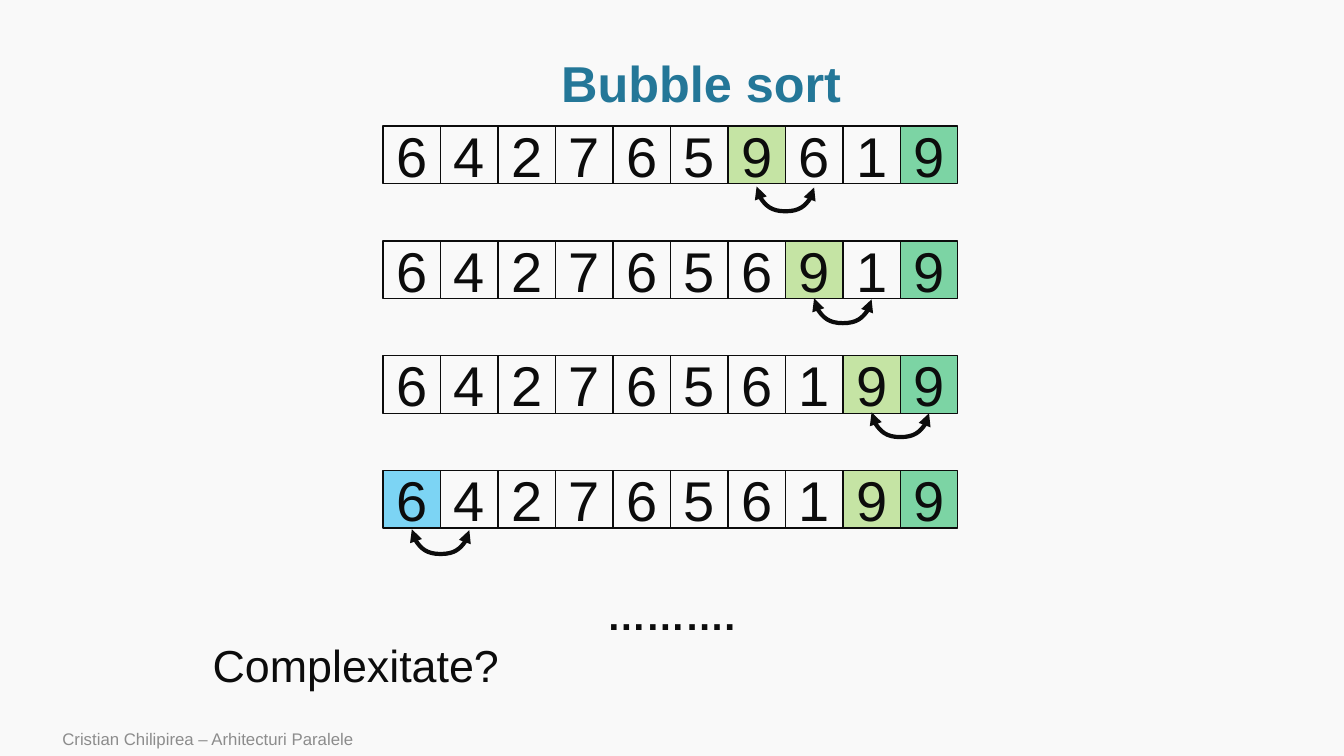
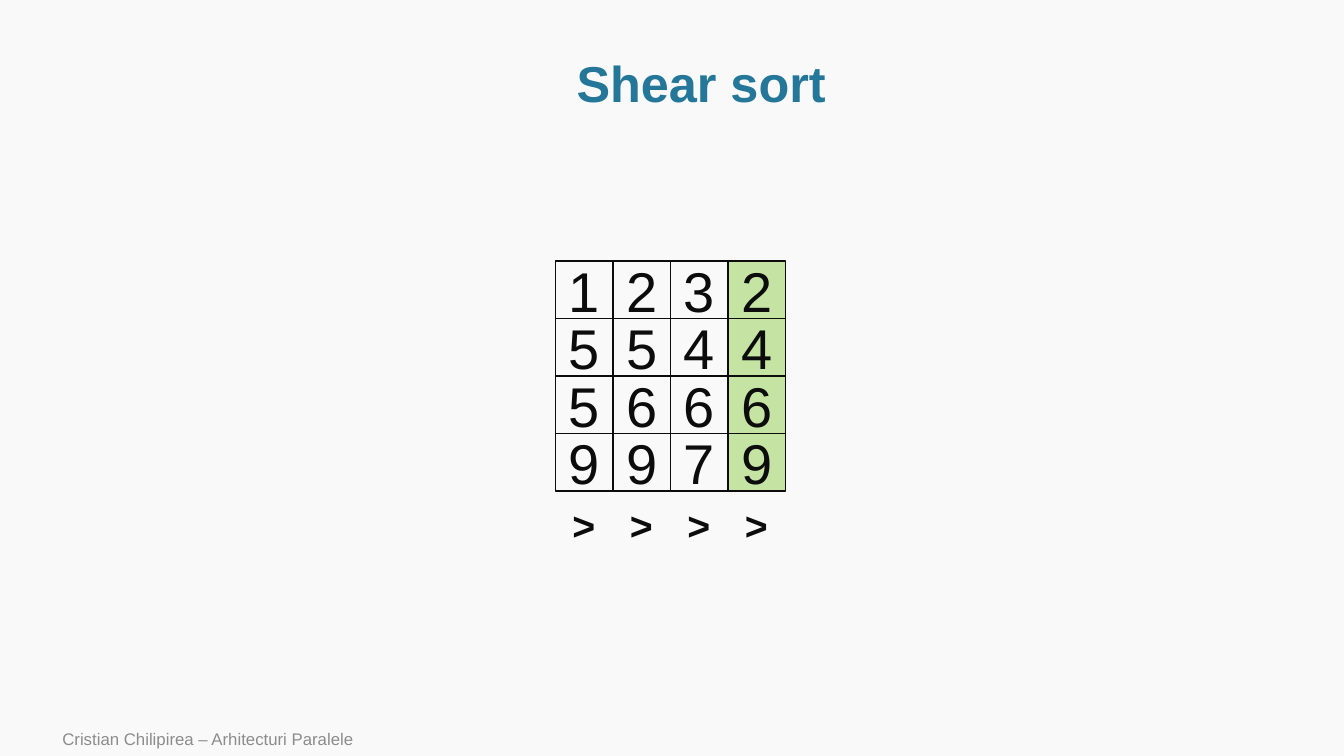
from pptx import Presentation
from pptx.dml.color import RGBColor
from pptx.enum.shapes import MSO_CONNECTOR, MSO_SHAPE
from pptx.enum.text import MSO_ANCHOR, MSO_AUTO_SIZE, PP_ALIGN
from pptx.oxml.ns import qn
from pptx.util import Inches, Pt
from lxml import etree

PAPER = RGBColor(0xF9, 0xF9, 0xF9)
INK = RGBColor(0x0C, 0x0C, 0x0C)
TITLE_BLUE = RGBColor(0x24, 0x77, 0x98)
FOOTER_GRAY = RGBColor(0x8C, 0x8C, 0x8C)
LIME = RGBColor(0x92, 0xD0, 0x50)
GREEN = RGBColor(0x00, 0xB0, 0x50)
SKY = RGBColor(0x00, 0xB0, 0xF0)

FONT = "Arial"
FOOTER = "Cristian Chilipirea – Arhitecturi Paralele"
CELL = 0.57
ARROW_RISE = 0.01
ARROW_DEPTH = 0.25

# digits, highlighted columns, column where the swap starts, arrow height
BUBBLE_LEFT, BUBBLE_TOP = 3.8, 1.25
BUBBLE_STEPS = [
    ("6427659619", {6: LIME, 9: GREEN}, 6, 1.85),
    ("6427656919", {7: LIME, 9: GREEN}, 7, 2.96),
    ("6427656199", {8: LIME, 9: GREEN}, 8, 4.09),
    ("6427656199", {0: SKY, 8: LIME, 9: GREEN}, 0, 5.25),
]
SHEAR_LEFT, SHEAR_TOP = 5.51, 2.59
SHEAR_ROWS = ["1232", "5544", "5666", "9979"]


def write(frame, text, size, color=INK, bold=False, align=PP_ALIGN.LEFT,
          anchor=MSO_ANCHOR.TOP, wrap=True, spacing=None):
    frame.word_wrap = wrap
    frame.vertical_anchor = anchor
    paragraph = frame.paragraphs[0]
    paragraph.alignment = align
    paragraph.line_spacing = spacing
    run = paragraph.add_run()
    run.text = text
    run.font.name = FONT
    run.font.size = Pt(size)
    run.font.bold = bold
    run.font.color.rgb = color


def add_text(slide, text, left, top, width, height, **text_format):
    box = slide.shapes.add_textbox(
        Inches(left), Inches(top), Inches(width), Inches(height))
    write(box.text_frame, text, **text_format)
    return box


def add_label(slide, text, left, top, width, height, **text_format):
    """Add one unwrapped line whose box grows with its text."""
    label = add_text(slide, text, left, top, width, height, wrap=False, **text_format)
    label.text_frame.auto_size = MSO_AUTO_SIZE.SHAPE_TO_FIT_TEXT


def add_cell(slide, digit, left, top, highlight=None):
    cell = slide.shapes.add_shape(
        MSO_SHAPE.RECTANGLE, Inches(left), Inches(top), Inches(CELL), Inches(CELL))
    cell.shadow.inherit = False
    cell.line.color.rgb = INK
    cell.line.width = Pt(1)
    if highlight is None:
        cell.fill.background()
    else:
        cell.fill.solid()
        cell.fill.fore_color.rgb = highlight
        tint = cell.fill._xPr.find(f"{qn('a:solidFill')}/{qn('a:srgbClr')}")
        etree.SubElement(tint, qn("a:alpha"), val="50000")
    write(cell.text_frame, digit, size=40, align=PP_ALIGN.CENTER,
          anchor=MSO_ANCHOR.MIDDLE)


def add_row(slide, digits, left, top, highlights):
    for column, digit in enumerate(digits):
        add_cell(slide, digit, left + column * CELL, top, highlights.get(column))


def add_swap_arrow(slide, left, top):
    """Add a U-shaped double arrow that spans one cell width."""
    # The frame is upright; a quarter turn lays it on its side.
    frame_left = left + (CELL - ARROW_RISE) / 2
    frame_top = top - (CELL - ARROW_RISE) / 2
    arrow = slide.shapes.add_connector(
        MSO_CONNECTOR.CURVE, Inches(frame_left), Inches(frame_top),
        Inches(frame_left + ARROW_RISE), Inches(frame_top + CELL))
    arrow.line.color.rgb = INK
    arrow.line.width = Pt(3)
    line = arrow.line._get_or_add_ln()
    for end in ("a:headEnd", "a:tailEnd"):
        etree.SubElement(line, qn(end), type="triangle")
    properties = arrow._element.spPr
    etree.SubElement(properties, qn("a:effectLst"))
    transform = properties.find(qn("a:xfrm"))
    transform.set("rot", str(270 * 60000))
    transform.set("flipH", "1")
    adjustments = properties.find(qn("a:prstGeom")).get_or_add_avLst()
    bend = round(ARROW_DEPTH / ARROW_RISE * 100000)
    etree.SubElement(adjustments, qn("a:gd"), name="adj1", fmla=f"val {bend}")


def add_slide(deck, title):
    slide = deck.slides.add_slide(deck.slide_layouts[6])
    add_text(slide, title, 1.14, 0.51, 11.63, 0.69, size=36, color=TITLE_BLUE,
             bold=True, align=PP_ALIGN.CENTER, anchor=MSO_ANCHOR.MIDDLE, spacing=0.9)
    add_text(slide, FOOTER, 0.52, 7.16, 8.4, 0.34, size=12, color=FOOTER_GRAY,
             anchor=MSO_ANCHOR.MIDDLE)
    return slide


def build_bubble_sort(deck):
    slide = add_slide(deck, "Bubble sort")
    for step, (digits, highlights, swap, arrow_top) in enumerate(BUBBLE_STEPS):
        add_row(slide, digits, BUBBLE_LEFT, BUBBLE_TOP + step * 2 * CELL, highlights)
        add_swap_arrow(slide, BUBBLE_LEFT + (swap + 0.5) * CELL, arrow_top)
    add_label(slide, "……….", 5.92, 5.82, 1.49, 0.57, size=28, bold=True)
    add_label(slide, "Complexitate?", 2.01, 6.28, 3.07, 0.64, size=32)


def build_shear_sort(deck):
    slide = add_slide(deck, "Shear sort")
    for row, digits in enumerate(SHEAR_ROWS):
        add_row(slide, digits, SHEAR_LEFT, SHEAR_TOP + row * CELL, {3: LIME})
    for column in range(len(SHEAR_ROWS[0])):
        add_label(slide, ">", SHEAR_LEFT + 0.07 + column * CELL, 4.92, 0.43, 0.57,
                  size=28, bold=True)


def main():
    deck = Presentation()
    deck.slide_width, deck.slide_height = Inches(13.33), Inches(7.5)
    background = deck.slide_master.background.fill
    background.solid()
    background.fore_color.rgb = PAPER
    build_bubble_sort(deck)
    build_shear_sort(deck)
    deck.save("out.pptx")


if __name__ == "__main__":
    main()
